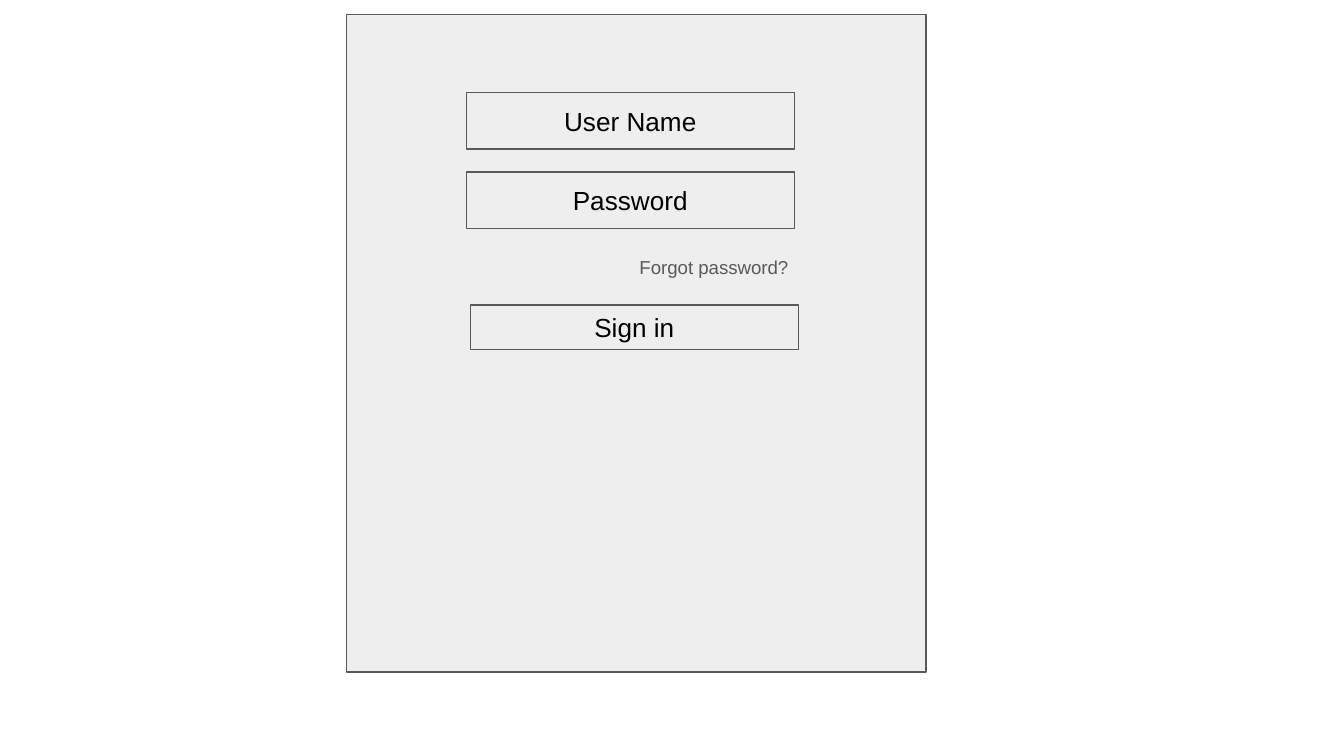
"""Build a sign-in form wireframe slide."""
import dataclasses

import pptx
import pptx.dml.color
import pptx.enum.shapes
import pptx.enum.text
import pptx.util

Inches = pptx.util.Inches
ALIGN = pptx.enum.text.PP_ALIGN
ANCHOR = pptx.enum.text.MSO_ANCHOR


@dataclasses.dataclass(frozen=True)
class Theme:
    font: str = "Arial"
    surface: str = "EEEEEE"
    outline: str = "595959"
    text: str = "000000"
    muted: str = "595959"
    label_size: int = 14
    link_size: int = 10
    line_width: float = 0.75
    inset: float = 0.1


THEME = Theme()


def rgb(value):
    return pptx.dml.color.RGBColor.from_string(value)


def apply_format(target, values):
    for name, value in values.items():
        setattr(target, name, value)


def write_text(box, text, size, color, align, anchor):
    frame = box.text_frame
    margins = ("margin_left", "margin_top", "margin_right", "margin_bottom")
    apply_format(frame, dict.fromkeys(margins, Inches(THEME.inset)))
    apply_format(frame, {"word_wrap": True, "vertical_anchor": anchor})
    para = frame.paragraphs[0]
    para.alignment = align
    span = para.add_run()
    span.text = text
    apply_format(span.font, {"name": THEME.font, "size": pptx.util.Pt(size)})
    span.font.color.rgb = rgb(color)


def add_panel(page, left, top, width, height):
    box = page.shapes.add_shape(
        pptx.enum.shapes.MSO_SHAPE.RECTANGLE,
        *map(Inches, (left, top, width, height)))
    box.shadow.inherit = False
    box.fill.solid()
    box.fill.fore_color.rgb = rgb(THEME.surface)
    box.line.color.rgb = rgb(THEME.outline)
    box.line.width = pptx.util.Pt(THEME.line_width)
    return box


def add_field(page, label, left, top, height):
    box = add_panel(page, left, top, 2.44, height)
    write_text(box, label, THEME.label_size, THEME.text,
               ALIGN.CENTER, ANCHOR.MIDDLE)


def add_link(page, label, left, top, width, height):
    box = page.shapes.add_textbox(*map(Inches, (left, top, width, height)))
    write_text(box, label, THEME.link_size, THEME.muted,
               ALIGN.LEFT, ANCHOR.TOP)
    box.text_frame.auto_size = pptx.enum.text.MSO_AUTO_SIZE.SHAPE_TO_FIT_TEXT


def main():
    deck = pptx.Presentation()
    apply_format(deck, {"slide_width": Inches(10),
                        "slide_height": Inches(10) * 9 // 16})
    page = deck.slides.add_slide(deck.slide_layouts[6])
    add_panel(page, 2.58, 0.11, 4.31, 4.89)
    for row, label in enumerate(("User Name", "Password")):
        add_field(page, label, 3.47, 0.69 + 0.59 * row, 0.42)
    add_link(page, "Forgot password?", 4.66, 1.82, 1.57, 0.33)
    add_field(page, "Sign in", 3.5, 2.27, 0.33)
    deck.save("out.pptx")


if __name__ == "__main__":
    main()
